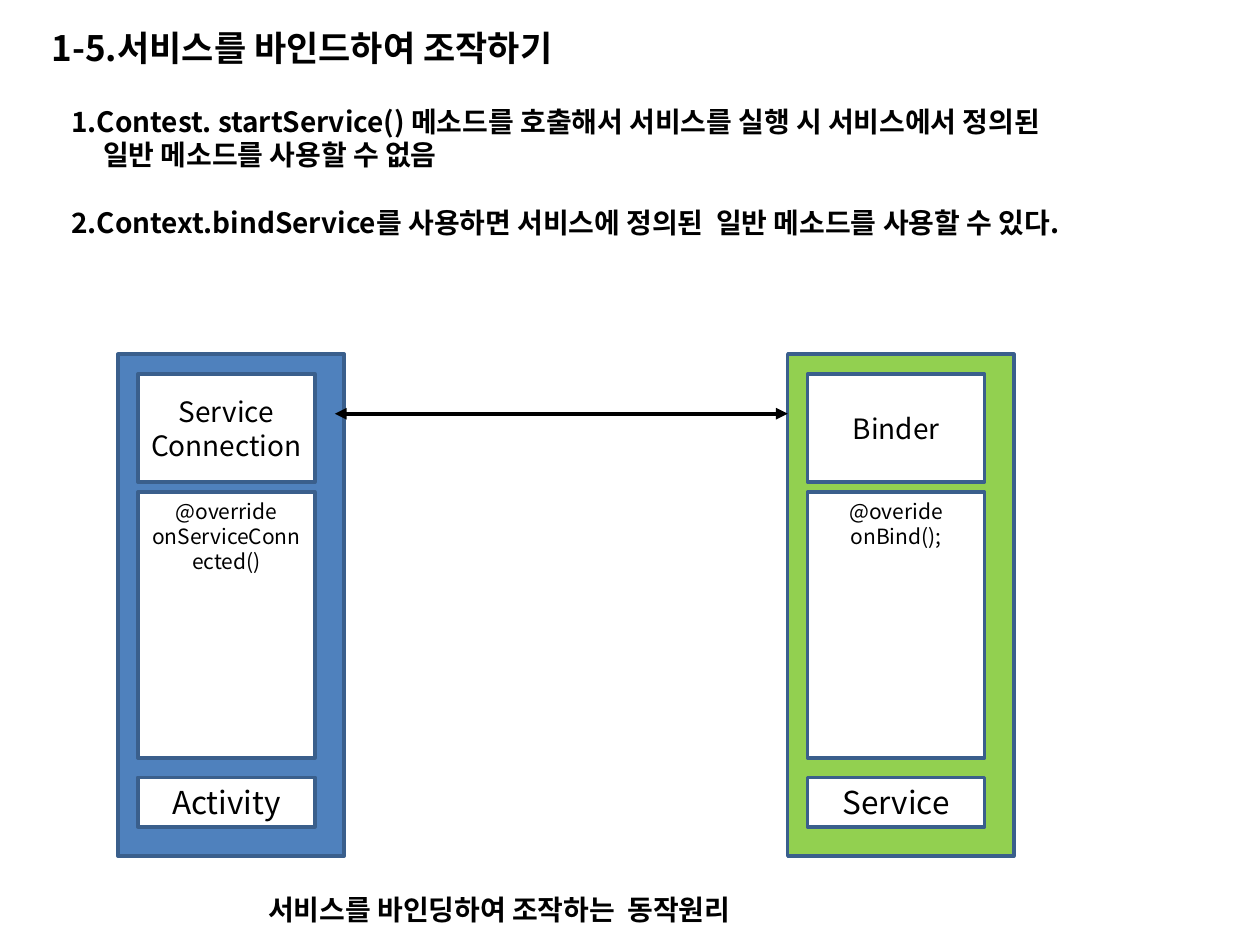
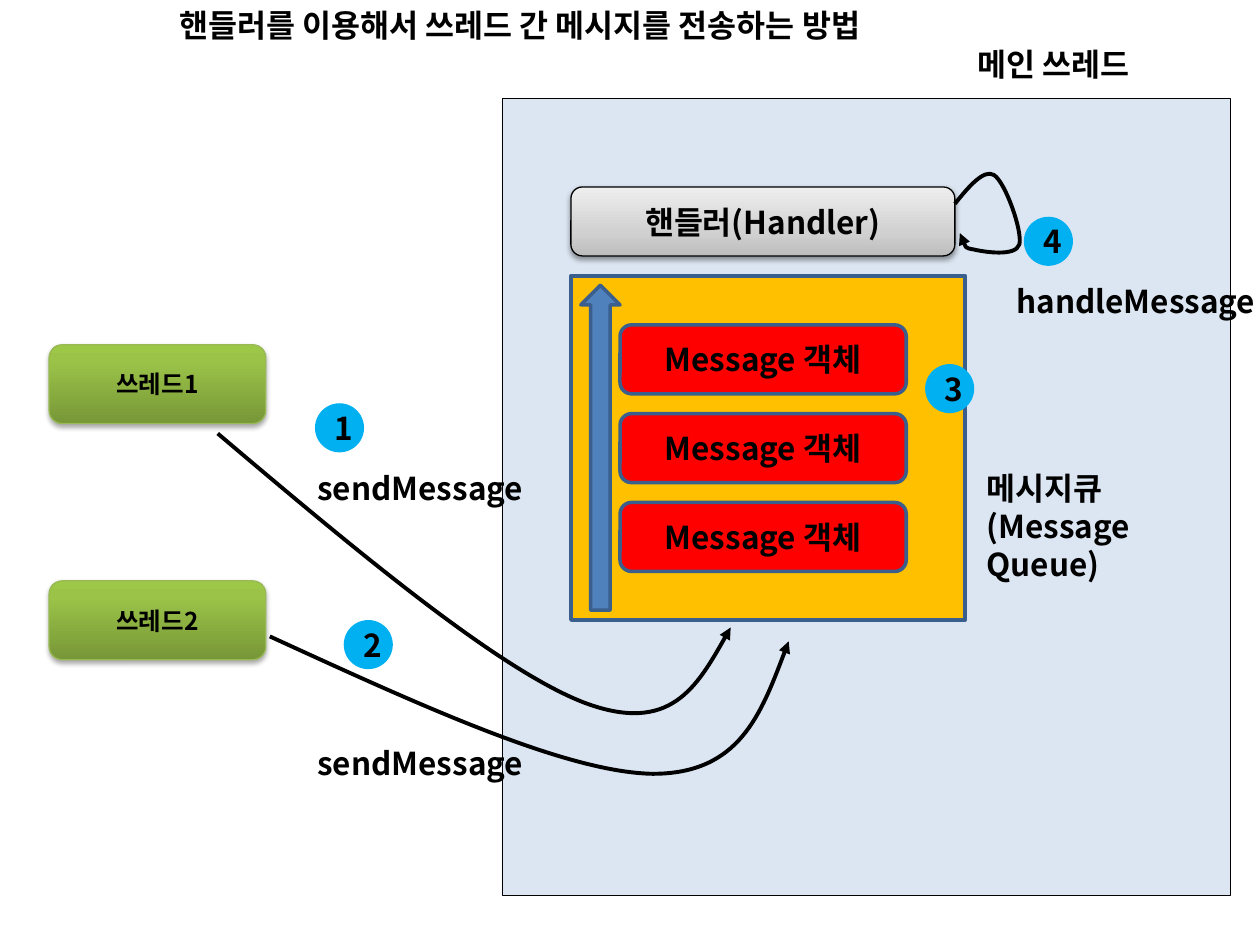
import pptx
import pptx.util
import pptx.dml.color
import pptx.enum.shapes
import pptx.enum.text
import pptx.oxml.ns
from lxml import etree

Cm, Pt = pptx.util.Cm, pptx.util.Pt
qn = pptx.oxml.ns.qn
SHAPE = pptx.enum.shapes.MSO_SHAPE
ANCHOR = pptx.enum.text.MSO_ANCHOR
ALIGN = pptx.enum.text.PP_ALIGN

FONT = "Noto Sans CJK KR"
COLORS = {
    "text": "000000",
    "white": "FFFFFF",
    "border": "3A5F8C",
    "activity": "4F81BD",
    "service": "92D050",
    "main_thread": "DCE6F2",
    "queue": "FFC000",
    "message": "FF0000",
    "badge": "00B0F0",
    "thread_border": "98B955",
}
# Gradient stops run from the bottom edge to the top edge
THREAD_STOPS = [(0, "779737"), (80, "9BC348"), (100, "9DC746")]
HANDLER_STOPS = [(0, "BDBDBD"), (35, "D1D1D1"), (100, "EEEEEE")]


def rgb(name):
    return pptx.dml.color.RGBColor.from_string(COLORS[name])


def write_lines(frame, lines, size, bold, align):
    frame.word_wrap = True
    for i, line in enumerate(lines):
        paragraph = frame.paragraphs[0] if i == 0 else frame.add_paragraph()
        paragraph.text = line
        paragraph.alignment = align
        font = paragraph.font
        font.size, font.bold = Pt(size), bold
        font.color.rgb = rgb("text")
        font.name = FONT
        etree.SubElement(font._element, qn("a:ea"), typeface=FONT)


def add_label(slide, left, top, width, height, lines, size=18):
    label = slide.shapes.add_textbox(Cm(left), Cm(top), Cm(width), Cm(height))
    write_lines(label.text_frame, lines, size, True, ALIGN.LEFT)
    label.text_frame.auto_size = pptx.enum.text.MSO_AUTO_SIZE.SHAPE_TO_FIT_TEXT
    return label


def add_block(slide, kind, left, top, width, height, fill=None, border="border",
              weight=2, lines=(), size=18, bold=True, anchor=ANCHOR.MIDDLE):
    block = slide.shapes.add_shape(kind, Cm(left), Cm(top), Cm(width), Cm(height))
    block.shadow.inherit = False
    if fill:
        block.fill.solid()
        block.fill.fore_color.rgb = rgb(fill)
    if border:
        block.line.color.rgb = rgb(border)
        block.line.width = Pt(weight)
    else:
        block.line.fill.background()
    block.text_frame.vertical_anchor = anchor
    write_lines(block.text_frame, lines, size, bold, ALIGN.CENTER)
    return block


def add_raised_block(slide, left, top, width, height, stops, border, text, size,
                     shadow_alpha, shadow_distance):
    """Rounded block with a vertical gradient and a soft shadow below."""
    block = add_block(slide, SHAPE.ROUNDED_RECTANGLE, left, top, width, height,
                      border=border, weight=0.75, lines=[text], size=size)
    block.fill.gradient()
    block.fill.gradient_angle = 90
    properties = block._element.spPr
    stop_list = properties.find(".//" + qn("a:gsLst"))
    for stop in list(stop_list):
        stop_list.remove(stop)
    for position, color in stops:
        stop = etree.SubElement(stop_list, qn("a:gs"), pos=str(position * 1000))
        etree.SubElement(stop, qn("a:srgbClr"), val=color)
    shadow = etree.SubElement(
        properties.find(qn("a:effectLst")), qn("a:outerShdw"), blurRad=str(Pt(3.1)),
        dist=str(Pt(shadow_distance)), dir="5400000", rotWithShape="0")
    color = etree.SubElement(shadow, qn("a:srgbClr"), val=COLORS["text"])
    etree.SubElement(color, qn("a:alpha"), val=str(shadow_alpha * 1000))


def style_arrow(arrow, *ends):
    arrow.line.color.rgb = rgb("text")
    arrow.line.width = Pt(2.25)
    outline = arrow._element.spPr.find(qn("a:ln"))
    for end in ends:
        etree.SubElement(outline, qn("a:" + end), type="triangle")


def add_curved_arrow(slide, left, top, points):
    """Cubic curve: a start point, then two controls and an end per segment."""
    (start, *others) = [(Cm(left + x), Cm(top + y)) for x, y in points]
    builder = slide.shapes.build_freeform(*start)
    builder.add_line_segments(others, close=False)
    curve = builder.convert_to_shape()
    curve.shadow.inherit = False
    curve.fill.background()
    outline = curve._element.spPr.find(".//" + qn("a:path"))
    segments = outline.findall(qn("a:lnTo"))
    for i in range(0, len(segments), 3):
        bezier = etree.SubElement(outline, qn("a:cubicBezTo"))
        for segment in segments[i:i + 3]:
            bezier.append(segment[0])
            outline.remove(segment)
    style_arrow(curve, "tailEnd")


def add_badge(slide, left, top, number):
    add_block(slide, SHAPE.OVAL, left, top, 0.99, 0.99, "badge", None, lines=[number])


# Slide 1: binding a service
def add_component(slide, left, top, fill, role, methods, name):
    add_block(slide, SHAPE.RECTANGLE, left, top, 4.56, 10.12, fill)
    rows = [(0.4, 2.18, role, 16, ANCHOR.MIDDLE),
            (2.78, 5.36, methods, 12, ANCHOR.TOP),
            (8.53, 1, [name], 18, ANCHOR.MIDDLE)]
    for offset, height, lines, size, anchor in rows:
        add_block(slide, SHAPE.RECTANGLE, left + 0.4, top + offset, 3.57, height, "white",
                  lines=lines, size=size, bold=False, anchor=anchor)


def build_binding_slide(slide):
    add_label(slide, 0.79, 0.41, 25.6, 1.12, ["1-5.서비스를 바인드하여 조작하기"], 20)
    points = add_label(slide, 1.19, 1.98, 22.81, 3, [
        "1.Contest. startService() 메소드를 호출해서 서비스를 실행 시 서비스에서 정의된",
        "일반 메소드를 사용할 수 없음",
        "2.Context.bindService를 사용하면 서비스에 정의된  일반 메소드를 사용할 수 있다.",
    ], 16)
    _, continuation, second_point = points.text_frame.paragraphs
    continuation._p.get_or_add_pPr().set("marL", str(Cm(0.64)))
    second_point.space_before = Pt(19.4)

    # Both ends of the binding
    top, service_left = 7.14, 15.88
    add_component(slide, 2.38, top, "activity", ["Service", "Connection"],
                  ["@override", "onServiceConnected()"], "Activity")
    add_component(slide, service_left, top, "service", ["Binder"],
                  ["@overide", "onBind();"], "Service")
    binding = slide.shapes.add_connector(
        pptx.enum.shapes.MSO_CONNECTOR.STRAIGHT,
        Cm(6.75), Cm(top + 1.2), Cm(service_left), Cm(top + 1.2))
    style_arrow(binding, "headEnd", "tailEnd")
    etree.SubElement(binding._element.spPr, qn("a:effectLst"))

    add_label(slide, 5.16, 17.86, 13.28, 0.94, ["서비스를 바인딩하여 조작하는  동작원리"], 16)


# Slide 2: sending messages between threads
def add_sender(slide, left, top, number, badge, label_top, curve):
    add_raised_block(slide, left, top, 4.37, 1.59, THREAD_STOPS, "thread_border",
                     "쓰레드" + number, 14, 35, 1.8)
    add_curved_arrow(slide, left, top, curve)
    add_label(slide, left + 5.16, top + label_top, 6.55, 1.03, ["sendMessage"])
    add_badge(slide, left + badge[0], top + badge[1], number)


def add_queue(slide, left, top):
    add_block(slide, SHAPE.RECTANGLE, left, top, 7.95, 6.94, "queue")
    for i in range(3):
        add_block(slide, SHAPE.ROUNDED_RECTANGLE, left + 0.99, top + 0.99 + 1.79 * i,
                  5.77, 1.39, "message", lines=["Message 객체"])
    direction = add_block(slide, SHAPE.RIGHT_ARROW, left - 2.68, top + 3.07,
                          6.55, 0.79, "activity")
    direction.rotation = 270
    add_label(slide, left + 8.13, top + 3.77, 5.76, 1.8, ["메시지큐", "(Message Queue)"])
    add_badge(slide, left + 7.14, top + 1.78, "3")


def add_handler(slide, left, top):
    add_raised_block(slide, left, top, 7.74, 1.39, HANDLER_STOPS, "text",
                     "핸들러(Handler)", 18, 38, 1.6)
    add_curved_arrow(slide, left, top, [
        (7.74, 0.34), (8.02, -0.01), (8.33, -0.37), (8.53, -0.24),
        (8.76, -0.09), (9.11, 0.9), (9.04, 1.16),
        (8.96, 1.41), (8.33, 1.31), (8.12, 1.26),
        (7.92, 1.23), (7.9, 1.08), (7.84, 0.93)])
    add_badge(slide, left + 9.13, top + 0.6, "4")
    add_label(slide, left + 8.73, top + 1.79, 6.55, 1.03, ["handleMessage"])


def build_handler_slide(slide):
    add_block(slide, SHAPE.RECTANGLE, 10.12, 1.98, 14.68, 16.07, "main_thread", "text", 0.25)
    add_label(slide, 3.37, 0, 17.46, 1.03, ["핸들러를 이용해서 쓰레드 간 메시지를 전송하는 방법"])
    add_label(slide, 19.45, 0.79, 6.55, 1.03, ["메인 쓰레드"])
    add_queue(slide, 11.51, 5.56)
    add_handler(slide, 11.51, 3.77)
    add_sender(slide, 0.99, 6.95, "1", (5.36, 1.18), 2.38, [
        (3.4, 1.79), (6.22, 4.18), (9.07, 6.56), (10.8, 7.22),
        (12.52, 7.86), (13.13, 6.79), (13.74, 5.7)])
    add_sender(slide, 0.99, 11.71, "2", (5.94, 0.79), 3.17, [
        (4.45, 1.12), (7.44, 2.49), (10.41, 3.86), (12.17, 3.89),
        (13.92, 3.89), (14.4, 2.56), (14.91, 1.22)])


def main():
    deck = pptx.Presentation()
    deck.slide_width, deck.slide_height = Cm(25.4), Cm(19.05)
    for build in (build_binding_slide, build_handler_slide):
        build(deck.slides.add_slide(deck.slide_layouts[6]))
    deck.save("out.pptx")


if __name__ == "__main__":
    main()
